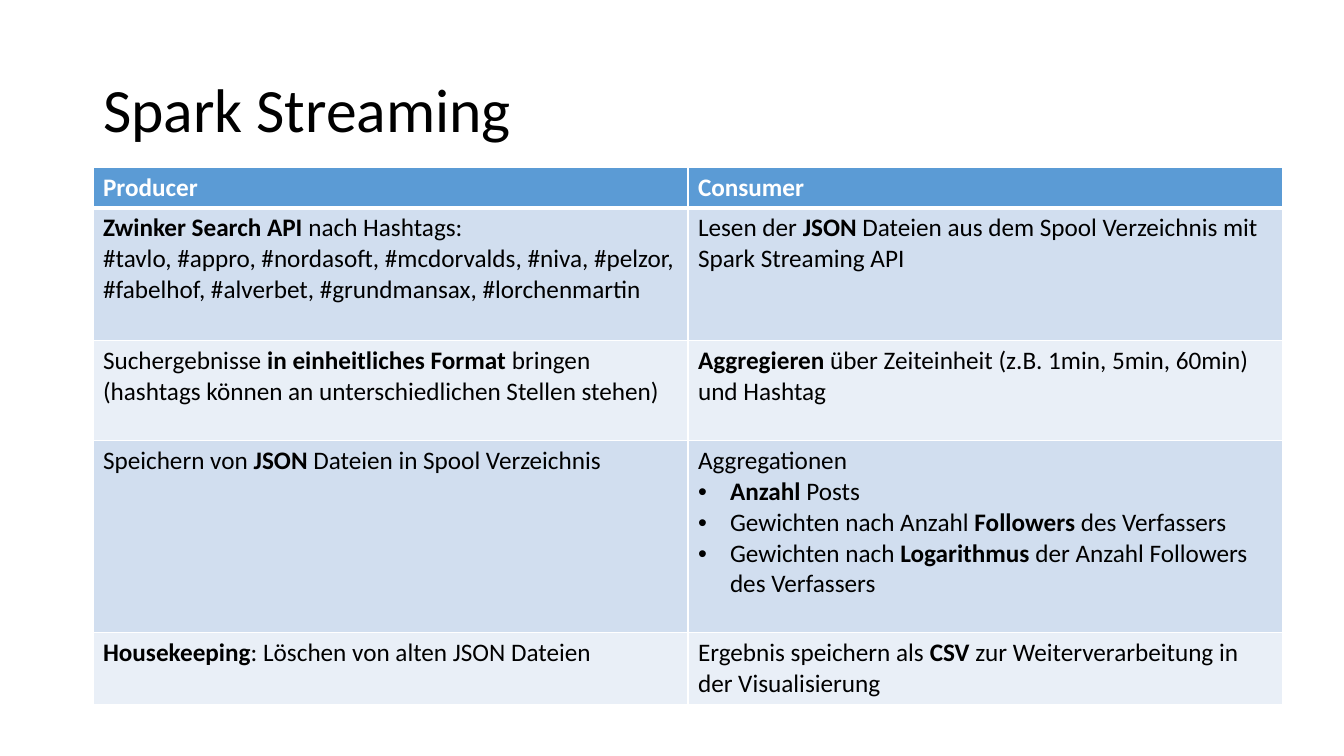
from dataclasses import dataclass

from lxml.etree import SubElement
from pptx import Presentation
from pptx.dml.color import RGBColor as Color
from pptx.enum.text import MSO_ANCHOR as Anchor, MSO_AUTO_SIZE as AutoSize, PP_ALIGN as Align
from pptx.oxml import parse_xml
from pptx.oxml.ns import nsdecls, qn
from pptx.util import Pt

TITLE = "Spark Streaming"
HEADERS = ("Producer", "Consumer")
STEPS = [
    (
        ["*Zwinker Search API *nach Hashtags:",
         "#tavlo, #appro, #nordasoft, #mcdorvalds, #niva, #pelzor, "
         "#fabelhof, #alverbet, #grundmansax, #lorchenmartin"],
        ["Lesen der *JSON* Dateien aus dem Spool Verzeichnis mit Spark Streaming API"],
    ),
    (
        ["Suchergebnisse *in einheitliches Format *bringen "
         "(hashtags können an unterschiedlichen Stellen stehen)"],
        ["*Aggregieren* über Zeiteinheit (z.B. 1min, 5min, 60min) und Hashtag"],
    ),
    (
        ["Speichern von *JSON* Dateien in Spool Verzeichnis"],
        ["Aggregationen",
         "•*Anzahl* Posts",
         "•Gewichten nach Anzahl *Followers* des Verfassers",
         "•Gewichten nach *Logarithmus* der Anzahl Followers des Verfassers"],
    ),
    (
        ["*Housekeeping*: Löschen von alten JSON Dateien"],
        ["Ergebnis speichern als *CSV* zur Weiterverarbeitung in der Visualisierung"],
    ),
]

PAGE = (1344, 756)
TITLE_BOX = (93, 40, 1159, 146)
TABLE_LEFT, TABLE_TOP = 93, 167
COLUMN_WIDTH = 595
ROW_HEIGHTS = (40, 133, 100, 192, 71)
BULLET_INDENT = 32


@dataclass(frozen=True)
class Theme:
    font: str = "Calibri"
    title_size: int = 44
    body_size: int = 18
    ink: str = "000000"
    paper: str = "FFFFFF"
    header: str = "5B9BD5"
    bands: tuple = ("D1DEEF", "E9EFF7")
    thin: float = 0.96
    thick: float = 3


THEME = Theme()


def px(length):
    return round(length * 914400 / 100.8)


def add_run(para, text, size, color, bold=False):
    span = para.add_run()
    span.text = text
    font = span.font
    font.name, font.size, font.bold = THEME.font, Pt(size), bold
    font.color.rgb = Color.from_string(color)


def add_bullet(para):
    props = para._p.get_or_add_pPr()
    props.set("marL", str(px(BULLET_INDENT)))
    props.set("indent", str(-px(BULLET_INDENT)))
    SubElement(props, qn("a:buFont"), typeface="Arial")
    SubElement(props, qn("a:buChar"), char="•")


def write_cell(cell, lines, color):
    for index, line in enumerate(lines):
        frame = cell.text_frame
        para = frame.add_paragraph() if index else frame.paragraphs[0]
        if line.startswith("•"):
            add_bullet(para)
        for part, text in enumerate(line.removeprefix("•").split("*")):
            if text:
                add_run(para, text, THEME.body_size, color, part % 2 == 1)


def paint_cell(cell, fill, row):
    cell.fill.solid()
    cell.fill.fore_color.rgb = Color.from_string(fill)
    widths = {
        "lnL": THEME.thin,
        "lnR": THEME.thin,
        "lnT": THEME.thick if row == 1 else THEME.thin,
        "lnB": THEME.thick if row == 0 else THEME.thin,
    }
    for place, (side, width) in enumerate(widths.items()):
        border = parse_xml(
            f'<a:{side} {nsdecls("a")} w="{Pt(width)}"><a:solidFill>'
            f'<a:srgbClr val="{THEME.paper}"/></a:solidFill></a:{side}>'
        )
        cell._tc.get_or_add_tcPr().insert(place, border)


def add_title(page):
    title = page.shapes.title
    title.left, title.top, title.width, title.height = map(px, TITLE_BOX)
    frame = title.text_frame
    frame.word_wrap = True
    frame.auto_size = AutoSize.NONE
    frame.vertical_anchor = Anchor.MIDDLE
    para = frame.paragraphs[0]
    para.alignment, para.line_spacing = Align.LEFT, 0.9
    add_run(para, TITLE, THEME.title_size, THEME.ink)


def add_steps(page):
    rows = [tuple([f"*{name}*"] for name in HEADERS), *STEPS]
    table = page.shapes.add_table(
        len(rows), len(HEADERS), px(TABLE_LEFT), px(TABLE_TOP),
        px(COLUMN_WIDTH * len(HEADERS)), px(sum(ROW_HEIGHTS)),
    ).table
    for column in table.columns:
        column.width = px(COLUMN_WIDTH)
    for row, (cells, height) in enumerate(zip(rows, ROW_HEIGHTS)):
        table.rows[row].height = px(height)
        fill = THEME.bands[(row - 1) % 2] if row else THEME.header
        for column, lines in enumerate(cells):
            cell = table.cell(row, column)
            write_cell(cell, lines, THEME.ink if row else THEME.paper)
            paint_cell(cell, fill, row)


def main():
    deck = Presentation()
    deck.slide_width, deck.slide_height = map(px, PAGE)
    page = deck.slides.add_slide(deck.slide_layouts[5])
    add_title(page)
    add_steps(page)
    deck.save("out.pptx")


if __name__ == "__main__":
    main()
